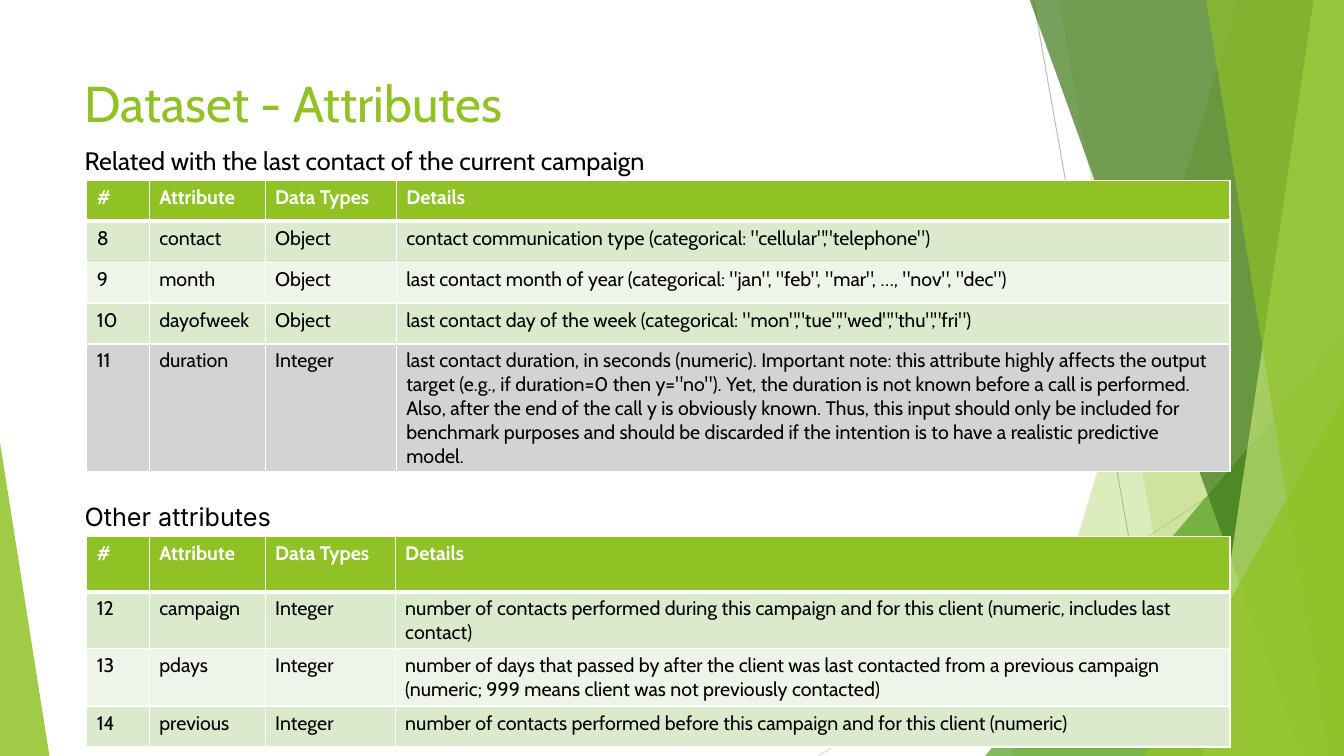
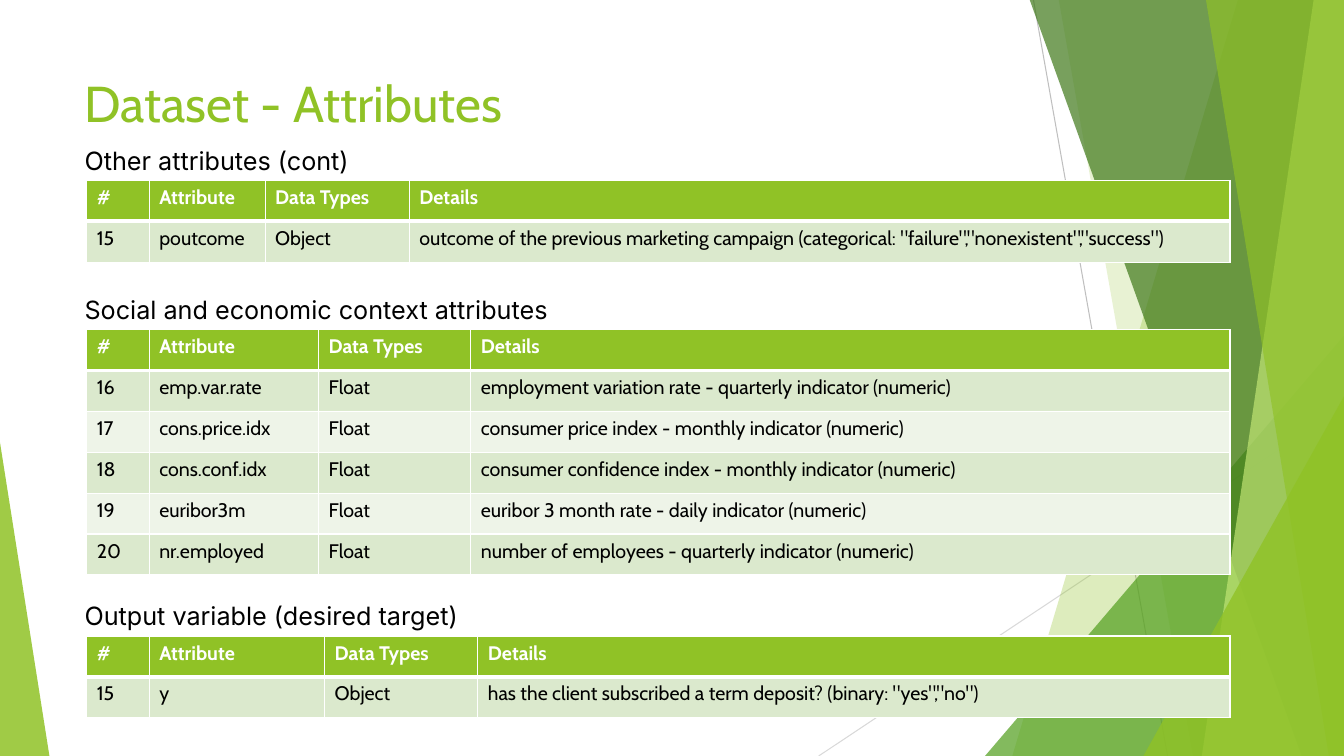
from lxml import etree
from pptx import Presentation, util as u
from pptx.dml.color import RGBColor
from pptx.enum import shapes as sh, text as tx
from pptx.oxml import ns

# Content: slides of (heading, font, top, column widths, head height, rows)
TITLE = "Dataset - Attributes"
HEAD = ("#", "Attribute", "Data Types", "Details")
ROW = 29.2 / 72
SLIDES = [
    [
        ("Related with the last contact of the current campaign", "Cabin",
         1.79, (0.62, 1.15, 1.3), ROW, [
             ("8", "contact", "Object",
              'contact communication type (categorical: "cellular","telephone")'),
             ("9", "month", "Object",
              'last contact month of year (categorical: "jan", "feb", "mar", …, "nov", "dec")'),
             ("10", "dayofweek", "Object",
              'last contact day of the week (categorical: "mon","tue","wed","thu","fri")'),
             ("11", "duration", "Integer",
              "last contact duration, in seconds (numeric). Important note: this "
              "attribute highly affects the output target (e.g., if duration=0 then "
              'y="no"). Yet, the duration is not known before a call is performed. '
              "Also, after the end of the call y is obviously known. Thus, this input "
              "should only be included for benchmark purposes and should be discarded "
              "if the intention is to have a realistic predictive model."),
         ]),
        ("Other attributes", "Inter", 5.32, (0.62, 1.15, 1.29), 0.55, [
            ("12", "campaign", "Integer",
             "number of contacts performed during this campaign and for this client "
             "(numeric, includes last contact)"),
            ("13", "pdays", "Integer",
             "number of days that passed by after the client was last contacted from "
             "a previous campaign (numeric; 999 means client was not previously contacted)"),
            ("14", "previous", "Integer",
             "number of contacts performed before this campaign and for this client (numeric)"),
        ]),
    ],
    [
        ("Other attributes (cont)", "Inter", 1.79, (0.62, 1.15, 1.43), ROW, [
            ("15", "poutcome", "Object",
             "outcome of the previous marketing campaign (categorical: "
             '"failure","nonexistent","success")'),
        ]),
        ("Social and economic context attributes", "Inter",
         3.27, (0.62, 1.68, 1.51), ROW, [
             ("16", "emp.var.rate", "Float",
              "employment variation rate - quarterly indicator (numeric)"),
             ("17", "cons.price.idx", "Float",
              "consumer price index - monthly indicator (numeric)"),
             ("18", "cons.conf.idx", "Float",
              "consumer confidence index - monthly indicator (numeric)"),
             ("19", "euribor3m", "Float",
              "euribor 3 month rate - daily indicator (numeric)"),
             ("20", "nr.employed", "Float",
              "number of employees - quarterly indicator (numeric)"),
         ]),
        ("Output variable (desired target)", "Inter",
         6.31, (0.62, 1.74, 1.52), ROW, [
             ("15", "y", "Object",
              'has the client subscribed a term deposit? (binary: "yes","no")'),
         ]),
    ],
]

# Shared style
WIDE, HIGH = 13.33, 7.5
GREEN, WHITE, BLACK = "90C226", "FFFFFF", "000000"
BANDS = ("DBE9CD", "EEF4E8")
MARKED, GREY = "11", "D3D3D3"
LEFT, SPAN = 0.86, 11.34
RAYS = [((10.25, 0), (11.58, HIGH), "BFBFBF"),
        ((WIDE, 4.03), (8.12, HIGH), "D9D9D9")]
# Back to front: a band is (top x, bottom x), a wedge is (left, top, width, tip)
DECOR = [
    ((12.28, 10.04), GREEN, 30),
    ((10.5, 11.83), GREEN, 20),
    ((9.77, 3.33, 3.56, 1), "54A021", 72),
    ((10.21, 12.91), "3F7819", 70),
    ((13.03, 11.92), "C0E474", 70),
    ((11.96, 13.18), GREEN, 65),
    ((11.34, 3.93, 1.99, 1), GREEN, 80),
    ((0, 4.39, 0.49, 0), GREEN, 85),
]


def rgb(code):
    return RGBColor.from_string(code)


def box(*vals):
    return [u.Inches(v) for v in vals]


def paint(fill, code):
    fill.solid()
    fill.fore_color.rgb = rgb(code)


def style(frame, size, face, code, bold=False):
    para = frame.paragraphs[0]
    para.alignment = tx.PP_ALIGN.LEFT
    font = para.font
    font.size, font.name, font.bold = u.Pt(size), face, bold
    font.color.rgb = rgb(code)


def fade(shape, code, alpha):
    paint(shape.fill, code)
    shape.line.fill.background()
    shape.shadow.inherit = False
    tint = shape.fill._xPr.find(".//" + ns.qn("a:srgbClr"))
    etree.SubElement(tint, ns.qn("a:alpha"), val=str(alpha * 1000))


def decorate(slide, layout):
    """Draw the facets as one group and move it to the layout."""
    group = slide.shapes.add_group_shape()
    parts = group.shapes
    for start, end, code in RAYS:
        ray = parts.add_connector(sh.MSO_CONNECTOR.STRAIGHT, *box(*start, *end))
        ray.line.color.rgb = rgb(code)
        ray.line.width = u.Pt(0.75)
        etree.SubElement(ray.element.spPr, ns.qn("a:effectLst"))
    for place, code, alpha in DECOR:
        if len(place) == 2:
            top, base = place
            pen = parts.build_freeform(*box(top, -0.01))
            pen.add_line_segments(
                [box(WIDE, -0.01), box(WIDE, HIGH), box(base, HIGH)])
            facet = pen.convert_to_shape()
        else:
            left, top, width, tip = place
            facet = parts.add_shape(sh.MSO_SHAPE.ISOSCELES_TRIANGLE,
                                    *box(left, top, width, HIGH - top))
            facet.adjustments[0] = tip
        fade(facet, code, alpha)
    layout.shapes.element.insert(2, group.element)


def edge(cell, row):
    """White cell borders, thick under the head row."""
    props = cell._tc.get_or_add_tcPr()
    thick = {("B", 0), ("T", 1)}
    for side in "LRTB":
        width = u.Pt(3 if (side, row) in thick else 1)
        line = etree.SubElement(props, ns.qn("a:ln" + side), w=str(width))
        fill = etree.SubElement(line, ns.qn("a:solidFill"))
        etree.SubElement(fill, ns.qn("a:srgbClr"), val=WHITE)


def section(slide, name, face, top, cols, head, rows):
    # Heading
    label = slide.shapes.add_textbox(*box(0.74, top - 0.4, 7.68, 0.4)).text_frame
    label.word_wrap = True
    label.text = name
    style(label, 18, face, BLACK)

    # Table
    lines = [HEAD] + rows
    high = head + ROW * len(rows)
    table = slide.shapes.add_table(
        len(lines), len(HEAD), *box(LEFT, top, SPAN, high)).table
    for col, width in zip(table.columns, (*cols, SPAN - sum(cols))):
        col.width = u.Inches(width)
    for r, line in enumerate(lines):
        table.rows[r].height = u.Inches(ROW if r else head)
        if r == 0:
            back = GREEN
        else:
            back = GREY if line[0] == MARKED else BANDS[(r - 1) % 2]
        for c, words in enumerate(line):
            cell = table.cell(r, c)
            cell.text = words
            edge(cell, r)
            paint(cell.fill, back)
            style(cell.text_frame, 14, "Cabin", BLACK if r else WHITE, r == 0)


# Build
deck = Presentation()
deck.slide_width, deck.slide_height = box(WIDE, HIGH)
layout = deck.slide_layouts[5]
for spare in list(layout.placeholders)[1:]:
    layout.shapes.element.remove(spare.element)

for index, parts in enumerate(SLIDES):
    slide = deck.slides.add_slide(layout)
    if index == 0:
        decorate(slide, layout)
    title = slide.shapes.title
    title.left, title.top, title.width, title.height = box(0.74, 0.67, 9.4, 1.44)
    title.text_frame.text = TITLE
    title.text_frame.vertical_anchor = tx.MSO_ANCHOR.TOP
    style(title.text_frame, 36, "Cabin", GREEN)
    for part in parts:
        section(slide, *part)

deck.save("out.pptx")
